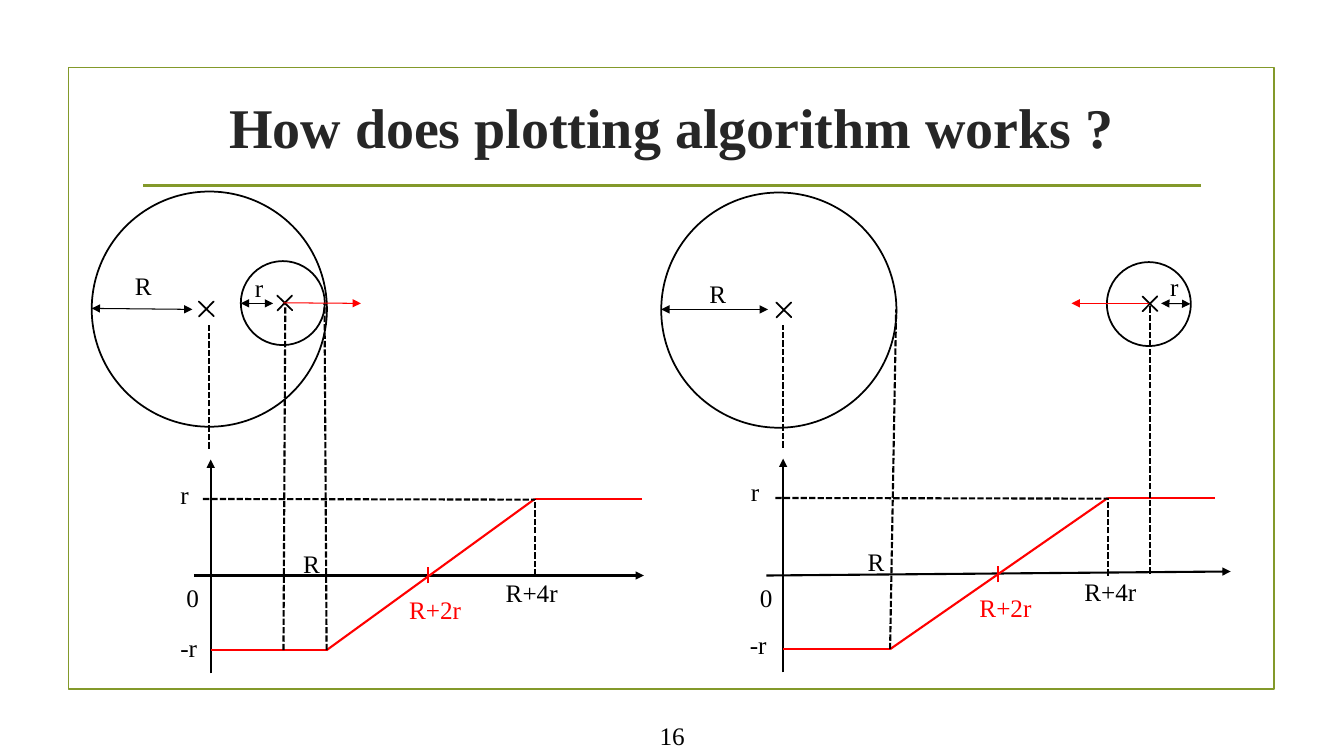
from lxml import etree
from pptx import Presentation
from pptx.dml.color import RGBColor
from pptx.enum.dml import MSO_LINE
from pptx.enum.shapes import MSO_CONNECTOR, MSO_SHAPE
from pptx.enum.text import MSO_ANCHOR, PP_ALIGN
from pptx.oxml.ns import qn
from pptx.util import Pt

STRAIGHT = MSO_CONNECTOR.STRAIGHT
RECT, OVAL, PLUS = MSO_SHAPE.RECTANGLE, MSO_SHAPE.OVAL, MSO_SHAPE.CROSS
DASH = MSO_LINE.SQUARE_DOT
LEFT, CENTER = PP_ALIGN.LEFT, PP_ALIGN.CENTER
TOP, MIDDLE = MSO_ANCHOR.TOP, MSO_ANCHOR.MIDDLE
BLACK, RED, GREEN, DARK = "000000", "FF0000", "83992A", "262626"


def color(value):
    return RGBColor.from_string(value)


class Drawing:
    font = "Times New Roman"

    def __init__(self, slide):
        self.slide = slide

    def shape(self, kind, x, y, w, h, line=BLACK, fill=None):
        sp = self.slide.shapes.add_shape(kind, Pt(x), Pt(y), Pt(w), Pt(h))
        sp.shadow.inherit = False
        if fill:
            sp.fill.solid()
            sp.fill.fore_color.rgb = color(fill)
        else:
            sp.fill.background()
        sp.line.color.rgb = color(line)
        sp.line.width = Pt(1.25)
        return sp

    def circle(self, x, y, size):
        return self.shape(OVAL, x, y, size, size)

    def cross(self, x, y, size=15):
        sp = self.shape(PLUS, x - size / 2, y - size / 2, size, size, fill=GREEN)
        sp.adjustments[0] = 0.5
        sp.rotation = 44.4

    def line(self, x1, y1, x2, y2, ink=BLACK, width=1.5, dash=None, ends=()):
        c = self.slide.shapes.add_connector(STRAIGHT, Pt(x1), Pt(y1), Pt(x2), Pt(y2))
        c.line.color.rgb = color(ink)
        c.line.width = Pt(width)
        if dash:
            c.line.dash_style = dash
        ln = c.line._get_or_add_ln()
        for end in ends:
            etree.SubElement(ln, qn(f"a:{end}"), type="triangle")
        etree.SubElement(c._element.spPr, qn("a:effectLst"))

    def text(self, words, x, y, w, h=28.8, size=18, ink=BLACK, bold=False,
             align=LEFT, anchor=TOP):
        tf = self.slide.shapes.add_textbox(Pt(x), Pt(y), Pt(w), Pt(h)).text_frame
        tf.word_wrap = True
        tf.vertical_anchor = anchor
        p = tf.paragraphs[0]
        p.text = words
        p.alignment = align
        p.font.name = self.font
        p.font.size = Pt(size)
        p.font.bold = bold
        p.font.color.rgb = color(ink)

    def graph(self, x, top, edge, zero, knee, end, tip, tilt, edge_top):
        axis, high, low = 411.1, top + 28.1, top + 136.1
        edge_x, edge_y = edge_top
        self.line(x - 12, axis, tip, axis - tilt, ends=["tailEnd"])
        self.line(x, top + 152.6, x, top, ends=["tailEnd"])
        self.line(end, high, knee, high, RED)
        self.line(edge, low, x, low, RED)
        self.line(edge, low, knee, high, RED)
        self.line(zero, top + 88.4, zero, top + 76.4, RED)
        self.line(edge, low, edge_x, edge_y, dash=DASH)
        self.line(knee, axis, knee, high, dash=DASH)
        self.line(x - 5.5, high, knee, high + 0.5, dash=DASH)


def main():
    prs = Presentation()
    prs.slide_width, prs.slide_height = Pt(960), Pt(540)
    d = Drawing(prs.slides.add_slide(prs.slide_layouts[6]))

    d.shape(RECT, 49, 48.2, 861, 444.2, GREEN)
    d.line(102.2, 132.5, 858.2, 132.5, GREEN)
    d.text("How does plotting algorithm works ?", 49.7, 48.2, 859.7, 84.2,
           40, DARK, True, CENTER, MIDDLE)
    d.text("16", 460, 511.2, 40.3, align=CENTER)

    d.graph(150.5, 328.3, 233.3, 306, 382, 458.6, 460, 0, (231.8, 216.7))
    d.graph(559.4, 327.6, 635.8, 712.8, 791.3, 867.6, 879.1, 2.9, (640.1, 221))

    for x, y, size in [(65.5, 136.8, 168), (472.3, 137.5, 168),
                       (790.6, 187.2, 60), (172, 186.5, 60)]:
        d.circle(x, y, size)

    for x1, y1, x2, y2 in [(202.5, 464.4, 203.8, 217.4), (149, 320.4, 149, 231.8),
                           (559.4, 319.7, 559.4, 231.8), (821.5, 409.7, 821.5, 217.4)]:
        d.line(x1, y1, x2, y2, dash=DASH)

    for x, y in [(147.4, 220.7), (203.4, 216.4), (559.9, 221.4), (821.4, 217)]:
        d.cross(x, y)

    for x1, y1, x2, y2 in [(65.5, 220.3, 137.5, 221), (472.3, 221, 548.6, 221),
                           (172, 216.7, 195.1, 216.7), (829.4, 216.7, 850.3, 217.1)]:
        d.line(x1, y1, x2, y2, width=0.75, ends=["headEnd", "tailEnd"])

    d.line(202.5, 216.3, 257.8, 216.7, RED, 0.75, ends=["tailEnd"])
    d.line(765.4, 216.7, 820.8, 216.7, RED, 0.75, ends=["headEnd"])

    for words, w, ink, places in [
        ("R+4r", 69, BLACK, [(354.2, 409), (767.5, 408.4)]),
        ("R+2r", 69, RED, [(285.1, 421.2), (692.6, 419.8)]),
        ("R", 34, BLACK, [(209.5, 388.1), (612.7, 386.6)]),
        ("0", 34, BLACK, [(126, 412.6), (535.7, 412.3)]),
        ("-r", 34, BLACK, [(121.7, 448.2), (528.5, 446.2)]),
        ("r", 26, BLACK, [(121.7, 338.6), (529.2, 337), (175, 190.8), (828.7, 190.1)]),
        ("R", 26, BLACK, [(89.3, 189.4), (499.7, 195.1)]),
    ]:
        for x, y in places:
            d.text(words, x, y, w, ink=ink)

    prs.save("out.pptx")


if __name__ == "__main__":
    main()
